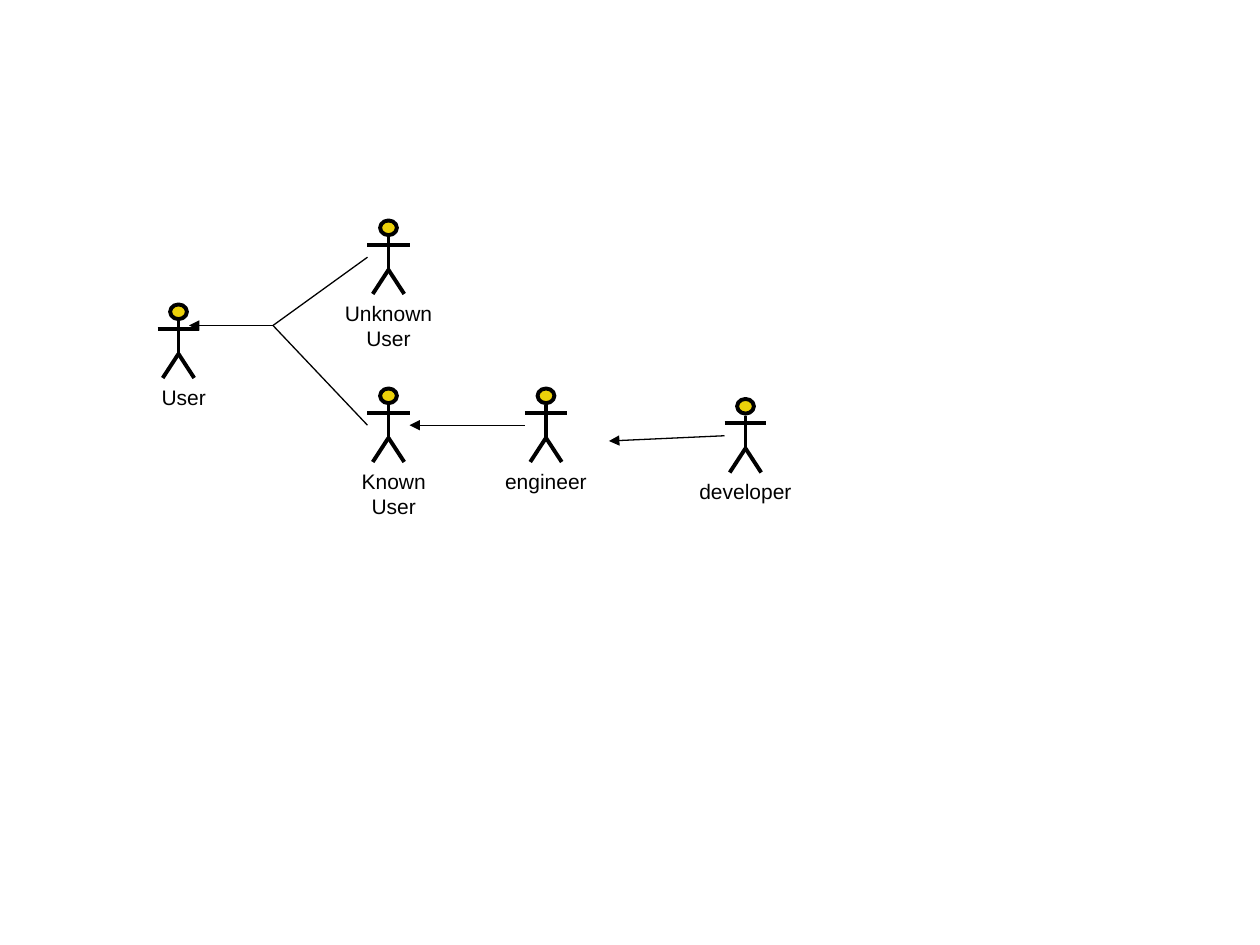
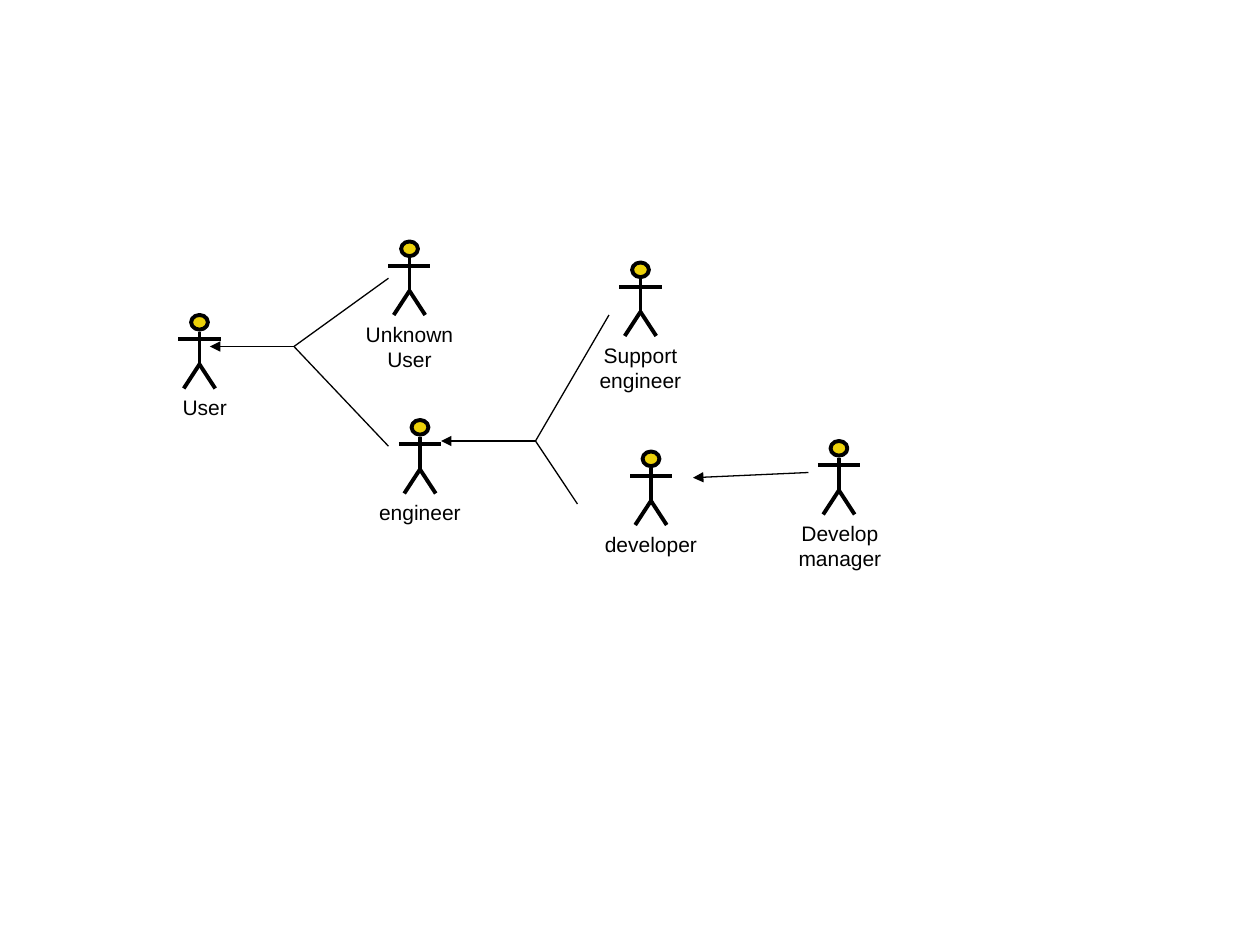
from lxml import etree
from pptx import Presentation
from pptx.dml.color import RGBColor
from pptx.enum.shapes import MSO_CONNECTOR as Connector, MSO_SHAPE as Shape
from pptx.enum.text import MSO_AUTO_SIZE as AutoSize, PP_ALIGN as Align
from pptx.oxml.ns import qn
from pptx.util import Pt

PX = 7620  # EMU per px, 120 px to the inch
COLORS = {"ink": "000000", "head": "ECD10A"}
FONT = "Arial"
FIGURE_WIDTH = 40


class ActorDiagram:
    """Style of the actor diagrams and the slide being drawn."""

    def __init__(self, presentation):
        self.presentation = presentation
        self.slide = None

    def new_slide(self):
        layout = self.presentation.slide_layouts[6]
        self.slide = self.presentation.slides.add_slide(layout)

    def color(self, name):
        return RGBColor.from_string(COLORS[name])

    def line(self, start, end, width=0.75, arrow=False, shapes=None):
        shapes = self.slide.shapes if shapes is None else shapes
        ends = [value * PX for value in (*start, *end)]
        connector = shapes.add_connector(Connector.STRAIGHT, *ends)
        connector.line.color.rgb = self.color("ink")
        connector.line.width = Pt(width)
        properties = connector._element.spPr
        if arrow:
            outline = properties.find(qn("a:ln"))
            etree.SubElement(outline, qn("a:tailEnd"), type="triangle")
        etree.SubElement(properties, qn("a:effectLst"))

    def head(self, shapes, left, top):
        box = [value * PX for value in (left, top, 16, 14)]
        shape = shapes.add_shape(Shape.OVAL, *box)
        shape.shadow.inherit = False
        shape.fill.solid()
        shape.fill.fore_color.rgb = self.color("head")
        shape.line.color.rgb = self.color("ink")
        shape.line.width = Pt(2.25)

    def label(self, shapes, center, top, width, height, lines):
        box = [value * PX for value in (center - width // 2, top, width, height)]
        frame = shapes.add_textbox(*box).text_frame
        frame.word_wrap = True
        frame.auto_size = AutoSize.SHAPE_TO_FIT_TEXT
        for index, text in enumerate(lines):
            paragraph = frame.add_paragraph() if index else frame.paragraphs[0]
            paragraph.alignment = Align.CENTER
            run = paragraph.add_run()
            run.text = text
            run.font.name = FONT
            run.font.size = Pt(12)
            run.font.color.rgb = self.color("ink")

    def actor(self, left, top, lines, width=120, height=36, shift=0):
        """Stick figure with its name below, as one group."""
        shapes = self.slide.shapes.add_group_shape().shapes
        center = left + FIGURE_WIDTH // 2
        hip = (center, top + 47)
        self.head(shapes, left + 12, top)
        limbs = [
            ((center, top + 16), hip),
            ((center - 15, top + 70), hip),
            ((center + 15, top + 70), hip),
            ((left, top + 23), (left + FIGURE_WIDTH, top + 23)),
        ]
        for start, end in limbs:
            self.line(start, end, 2.25, shapes=shapes)
        self.label(shapes, center + shift, top + 70, width, height, lines)

    def generalization(self, fork, parent, children):
        """Arrow to the parent, with branches from the fork to the children."""
        self.line(fork, parent, arrow=True)
        for child in children:
            self.line(fork, child)

    def user_family(self, user, unknown):
        """User, Unknown User and the fork that joins them."""
        left, top = unknown
        fork = (left - 90, top + 100)
        branches = [(left, top + 35), (left, top + 195)]
        self.generalization(fork, (fork[0] - 80, fork[1]), branches)
        self.actor(*user, ["User"], width=90, shift=5)
        self.actor(*unknown, ["Unknown User"], width=140, height=60)


def main():
    presentation = Presentation()
    presentation.slide_width = 1200 * PX
    presentation.slide_height = 900 * PX
    diagram = ActorDiagram(presentation)

    # Slide 1: known and unknown users
    diagram.new_slide()
    diagram.user_family(user=(150, 290), unknown=(350, 210))
    diagram.line((500, 405), (390, 405), arrow=True)
    diagram.line((690, 415), (580, 420), arrow=True)
    diagram.actor(350, 370, ["Known User"], width=90, height=60, shift=5)
    diagram.actor(500, 370, ["engineer"])
    diagram.actor(690, 380, ["developer"])

    # Slide 2: kinds of engineer
    diagram.new_slide()
    diagram.user_family(user=(170, 300), unknown=(370, 230))
    diagram.generalization((510, 420), (420, 420), [(580, 300), (550, 480)])
    diagram.line((770, 450), (660, 455), arrow=True)
    diagram.actor(380, 400, ["engineer"])
    diagram.actor(600, 430, ["developer"])
    diagram.actor(590, 250, ["Support", "engineer"], height=60)
    diagram.actor(779, 420, ["Develop", "manager"], height=60, shift=1)

    presentation.save("out.pptx")


if __name__ == "__main__":
    main()
